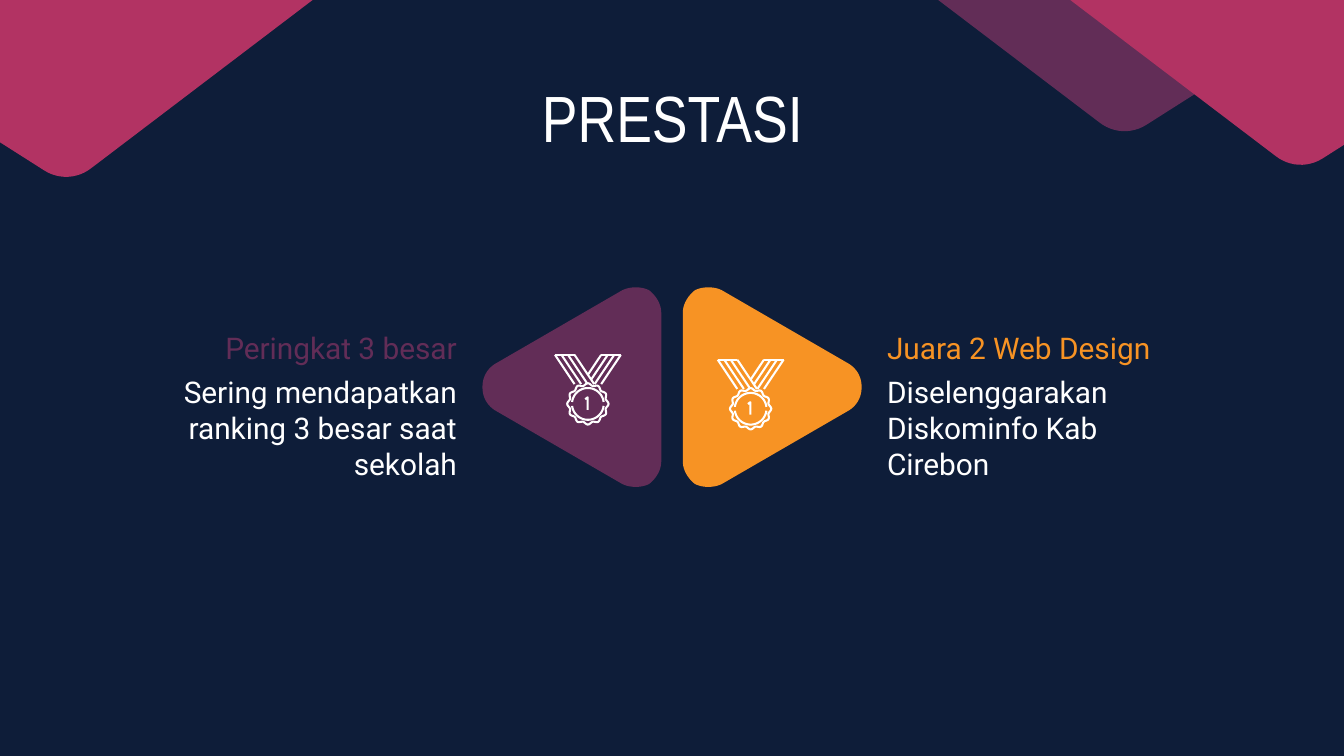
from math import cos, pi, sin

from pptx import Presentation
from pptx.dml.color import RGBColor
from pptx.enum.text import MSO_ANCHOR as Anchor, MSO_AUTO_SIZE as Fit, PP_ALIGN as Align
from pptx.util import Pt

NAVY, WHITE = "0E1D39", "FFFFFF"
PLUM, PINK, AMBER = "622D57", "B23363", "F79324"


def paint(part, color):
    """Give a fill one solid colour."""
    part.solid()
    part.fore_color.rgb = RGBColor.from_string(color)


def bend(start, first, second, end, steps=12):
    """Points along a cubic curve, both ends included."""
    curve = []
    for step in range(steps + 1):
        t = step / steps
        u = 1 - t
        curve.append(tuple(
            u**3 * a + 3 * u * u * t * b + 3 * u * t * t * c + t**3 * d
            for a, b, c, d in zip(start, first, second, end)))
    return curve


def draw(shapes, left, top, paths, closed):
    """Build one outline from paths given relative to left and top."""
    moved = [[(Pt(left + x), Pt(top + y)) for x, y in path] for path in paths]
    pen = shapes.build_freeform(*moved[0][0])
    for index, path in enumerate(moved):
        if index:
            pen.move_to(*path[0])
        pen.add_line_segments(path[1:], close=closed)
    shape = pen.convert_to_shape()
    shape.shadow.inherit = False
    return shape


def solid(shapes, left, top, width, points, color, flip):
    """Draw a filled outline, mirrored within its width on request."""
    if flip:
        points = [(width - x, y) for x, y in points]
    shape = draw(shapes, left, top, [points], True)
    paint(shape.fill, color)
    shape.line.fill.background()


def corner(shapes, left, top, color, flip=False):
    tip = bend((227.5, 172.8), (234.7, 178.6), (244.8, 179.2), (252.7, 174.2))
    points = [(0, 0), *tip, (351.4, 111.5), (351.4, 0)]
    solid(shapes, left, top, 351.4, points, color, flip)


def wedge(shapes, left, top, color, flip=False):
    """Rounded triangle that points left, or right when flipped."""
    width, height = 95.8, 106.6
    upper = (bend((0, height / 2), (0, 48.2), (2.2, 43.9), (6.5, 41))
             + bend((74.9, 1.4), (79.2, -0.7), (85, -0.7), (89.3, 1.4))
             + bend((89.3, 1.4), (92.9, 4.3), (width, 8.6), (width, 13.7)))
    lower = [(x, height - y) for x, y in reversed(upper)]
    solid(shapes, left, top, width, upper + lower, color, flip)


def medal(shapes, left, top):
    mid, hub, edge, drop, slope = 18.35, 27, 0.7, 15.7, 0.67

    def arc(first, last, size, wave=0, steps=96):
        """Arc around the hub; angles in degrees, wave adds twelve lobes."""
        points = []
        for step in range(steps + 1):
            angle = (first + (last - first) * step / steps) * pi / 180
            reach = size + wave * cos(12 * angle)
            points.append((mid + reach * cos(angle), hub + reach * sin(angle)))
        return points

    starts = [edge + 3.5 * index for index in range(4)]
    inner = starts[-1]
    ribbon = [[(inner, edge), (starts[0], edge)],
              [(2 * mid - inner, edge), (2 * mid - starts[0], edge)]]
    for x in starts:
        ribbon.append([(x, edge), (x + slope * drop, edge + drop)])
        far = 2 * mid - x
        fall = min(drop, (far - inner) / (2 * slope))
        ribbon.append([(far, edge), (far - slope * fall, edge + fall)])

    group = shapes.add_group_shape()
    for paths in (ribbon + [arc(0, 360, 10.5, 0.6)],
                  [arc(187, 353, 8.5)],
                  [arc(7, 173, 8.5)],
                  [[(16.9, 24.5), (18.2, 23.5), (18.2, 30.2)]]):
        shape = draw(group.shapes, left, top, paths, False)
        shape.fill.background()
        paint(shape.line.fill, WHITE)
        shape.line.width = Pt(1.1)


def write(holder, box, text, color, align, size=16, face="Roboto"):
    """Move a placeholder to its box and set its one paragraph."""
    for name, value in zip(("left", "top", "width", "height"), box):
        setattr(holder, name, Pt(value))
    frame = holder.text_frame
    frame.text = text
    line = frame.paragraphs[0]
    inset = Pt(7.2)
    formats = (
        (frame, {"word_wrap": True, "auto_size": Fit.NONE,
                 "vertical_anchor": Anchor.MIDDLE,
                 "margin_left": inset, "margin_right": inset,
                 "margin_top": inset, "margin_bottom": inset}),
        (line, {"alignment": align, "space_before": Pt(0), "line_spacing": 1.0}),
        (line.runs[0].font, {"size": Pt(size), "name": face, "bold": False}),
    )
    for target, values in formats:
        for name, value in values.items():
            setattr(target, name, value)
    paint(line.runs[0].font.fill, color)
    props = line._p.get_or_add_pPr()
    props.set("marL", "0")
    props.set("indent", "0")
    props.insert_element_before(
        props.makeelement(
            "{http://schemas.openxmlformats.org/drawingml/2006/main}buNone", {}),
        "a:tabLst", "a:defRPr", "a:extLst")


def award(heads, left, top, texts, color, align):
    """Place a heading and the lines below it."""
    width = 173.5
    write(heads[0], (left, top, width, 18), texts[0], color, align)
    write(heads[1], (left, top + 25.2, width, 53.3), texts[1], WHITE, align)


def build():
    deck = Presentation()
    deck.slide_width, deck.slide_height = Pt(720), Pt(405)
    slide = deck.slides.add_slide(deck.slide_layouts[4])
    paint(slide.background.fill, NAVY)
    shapes = slide.shapes

    corner(shapes, 361.4, -107.3, PLUM)
    corner(shapes, 455.8, -89.3, PINK)
    corner(shapes, -74.9, -82.8, PINK, flip=True)
    wedge(shapes, 258.5, 154.1, PLUM)
    wedge(shapes, 365.8, 154.1, AMBER, flip=True)
    medal(shapes, 296.6, 189.4)
    medal(shapes, 383.8, 192)

    title, *bodies = slide.placeholders
    write(title, (198, 42.5, 324.7, 39.6), "PRESTASI", WHITE, Align.CENTER,
          35, "Arial Narrow")
    award(bodies[:2], 78.5, 177.1,
          ("Peringkat 3 besar", "Sering mendapatkan ranking 3 besar saat sekolah"),
          PLUM, Align.RIGHT)
    award(bodies[2:], 468, 177.1,
          ("Juara 2 Web Design", "Diselenggarakan Diskominfo Kab Cirebon"),
          AMBER, Align.LEFT)
    deck.save("out.pptx")


if __name__ == "__main__":
    build()
